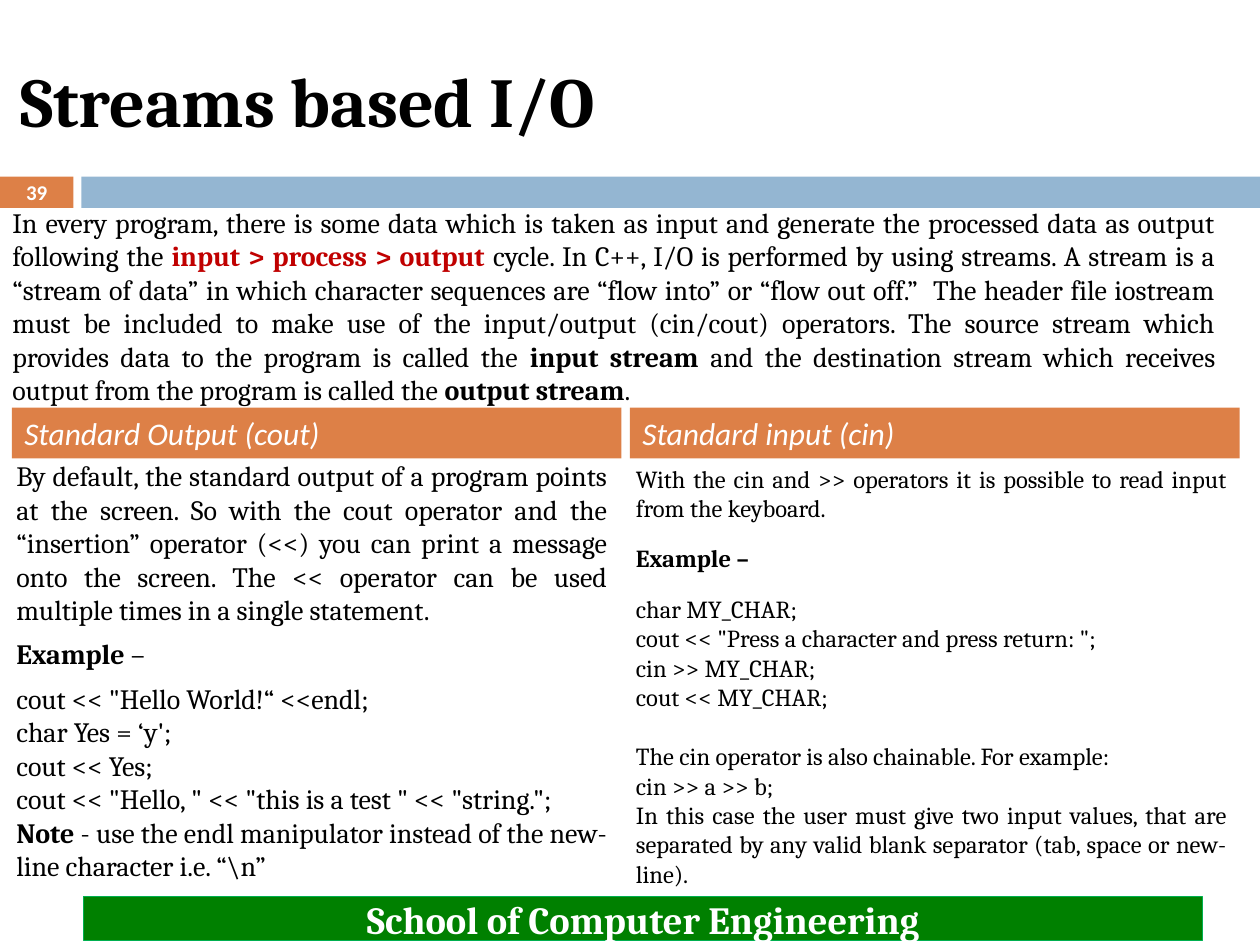
from dataclasses import dataclass

from pptx import Presentation
from pptx import util as u
from pptx.dml.color import RGBColor
from pptx.enum import shapes, text


@dataclass(frozen=True)
class Theme:
    orange: str = "DD8047"
    blue: str = "94B6D2"
    green: str = "008000"
    green_line: str = "00B050"
    red: str = "C00000"
    black: str = "000000"
    white: str = "FFFFFF"
    serif: str = "Cambria"
    sans: str = "Calibri"
    title: float = 40
    footer: float = 22
    heading: float = 18
    body: float = 16
    small: float = 14
    number: float = 12


th = Theme()
LEFT, CENTER, JUSTIFY = text.PP_ALIGN.LEFT, text.PP_ALIGN.CENTER, text.PP_ALIGN.JUSTIFY


def write(sp, content, size=th.body, font=th.serif, color=th.black, align=JUSTIFY,
          bold=False, italic=False, before=0, after=0, colors=None):
    """Add one paragraph; parts between bars are bold, colors overrides parts by index."""
    tf = sp.text_frame
    p = tf.paragraphs[0] if not tf.text else tf.add_paragraph()
    p.alignment = align
    p.space_before, p.space_after = u.Pt(before), u.Pt(after)
    for i, part in enumerate(content.split("|")):
        if part:
            r = p.add_run()
            r.text = part
            r.font.size, r.font.name = u.Pt(size), font
            r.font.bold, r.font.italic = bold or i % 2 == 1, italic
            r.font.color.rgb = RGBColor.from_string((colors or {}).get(i, color))


def box(left, top, width, height, fill=None, line=None):
    """Add a filled rectangle, or a wrapping text box when there is no fill."""
    at = [u.Cm(v) for v in (left, top, width, height)]
    if fill:
        sp = s.shapes.add_shape(shapes.MSO_SHAPE.RECTANGLE, *at)
        sp.shadow.inherit = False
        sp.fill.solid()
        sp.fill.fore_color.rgb = RGBColor.from_string(fill)
        if line:
            sp.line.color.rgb = RGBColor.from_string(line)
            sp.line.width = u.Pt(0.75)
        else:
            sp.line.fill.background()
        sp.text_frame.vertical_anchor = text.MSO_ANCHOR.MIDDLE
    else:
        sp = s.shapes.add_textbox(*at)
    sp.text_frame.word_wrap = True
    return sp


prs = Presentation()
prs.slide_width, prs.slide_height = u.Cm(25.4), u.Cm(19.05)
s = prs.slides.add_slide(prs.slide_layouts[5])

# Title
title = s.shapes.title
title.left, title.top, title.width, title.height = u.Cm(0.15), u.Cm(0.64), u.Cm(22.66), u.Cm(2.74)
title.text_frame.vertical_anchor = text.MSO_ANCHOR.MIDDLE
title.text_frame.auto_size = text.MSO_AUTO_SIZE.NONE
write(title, "Streams based I/O", size=th.title, align=LEFT, bold=True)

# Band with the slide number
number = box(0, 3.56, 1.48, 0.63, th.orange)
write(number, "39", size=th.number, font=th.sans, color=th.white, align=CENTER, bold=True)
box(1.64, 3.56, 23.76, 0.63, th.blue)

# Footer
footer = box(1.69, 18.08, 22.55, 0.88, th.green, th.green_line)
write(footer, "School of Computer Engineering", size=th.footer, color=th.white,
      align=CENTER, bold=True)

# Introduction
intro = box(0, 4.01, 24.76, 4.37)
write(intro,
      "In every program, there is some data which is taken as input and generate the "
      "processed data as output following the |input > process > output |cycle. In C++, "
      "I/O is performed by using streams. A stream is a “stream of data” in which character "
      "sequences are “flow into” or “flow out off.”  The header file iostream must be "
      "included to make use of the input/output (cin/cout) operators. The source stream "
      "which provides data to the program is called the |input stream |and the destination "
      "stream which receives output from the program is called the |output stream|.",
      colors={1: th.red})

# Column headings
for left, heading in ((0.24, "Standard Output (cout)"), (12.7, "Standard input (cin)")):
    sp = box(left, 8.22, 12.29, 1.02, th.orange)
    write(sp, heading, size=th.heading, font=th.sans, color=th.white, align=LEFT, italic=True)

# Column texts: each paragraph with its spacing
output_text = [
    ("By default, the standard output of a program points at the screen. So with the cout "
     "operator and the “insertion” operator (<<) you can print a message onto the screen. "
     "The << operator can be used multiple times in a single statement.", {}),
    ("|Example| –", {"before": 6, "after": 6}),
    ("cout << \"Hello World!“ <<endl;", {}),
    ("char Yes = ‘y';", {}),
    ("cout << Yes;", {}),
    ("cout << \"Hello, \" << \"this is a test \" << \"string.\";", {}),
    ("|Note| - use the endl manipulator instead of the new-line character i.e. “\\n”", {}),
]
input_text = [
    ("With the cin and >> operators it is possible to read input from the keyboard.", {}),
    ("|Example –", {"before": 12, "after": 12}),
    ("char MY_CHAR;", {}),
    ("cout << \"Press a character and press return: \";", {}),
    ("cin >> MY_CHAR;", {}),
    ("cout << MY_CHAR;", {}),
    ("The cin operator is also chainable. For example:", {"before": 17}),
    ("cin >> a >> b;", {}),
    ("In this case the user must give two input values, that are separated by any valid "
     "blank separator (tab, space or new-line).", {}),
]
for left, top, size, paragraphs in ((0.08, 9.12, th.body, output_text),
                                    (12.57, 9.22, th.small, input_text)):
    column = box(left, top, 12.42, 8.89)
    for content, spacing in paragraphs:
        write(column, content, size=size, **spacing)

prs.save("out.pptx")
